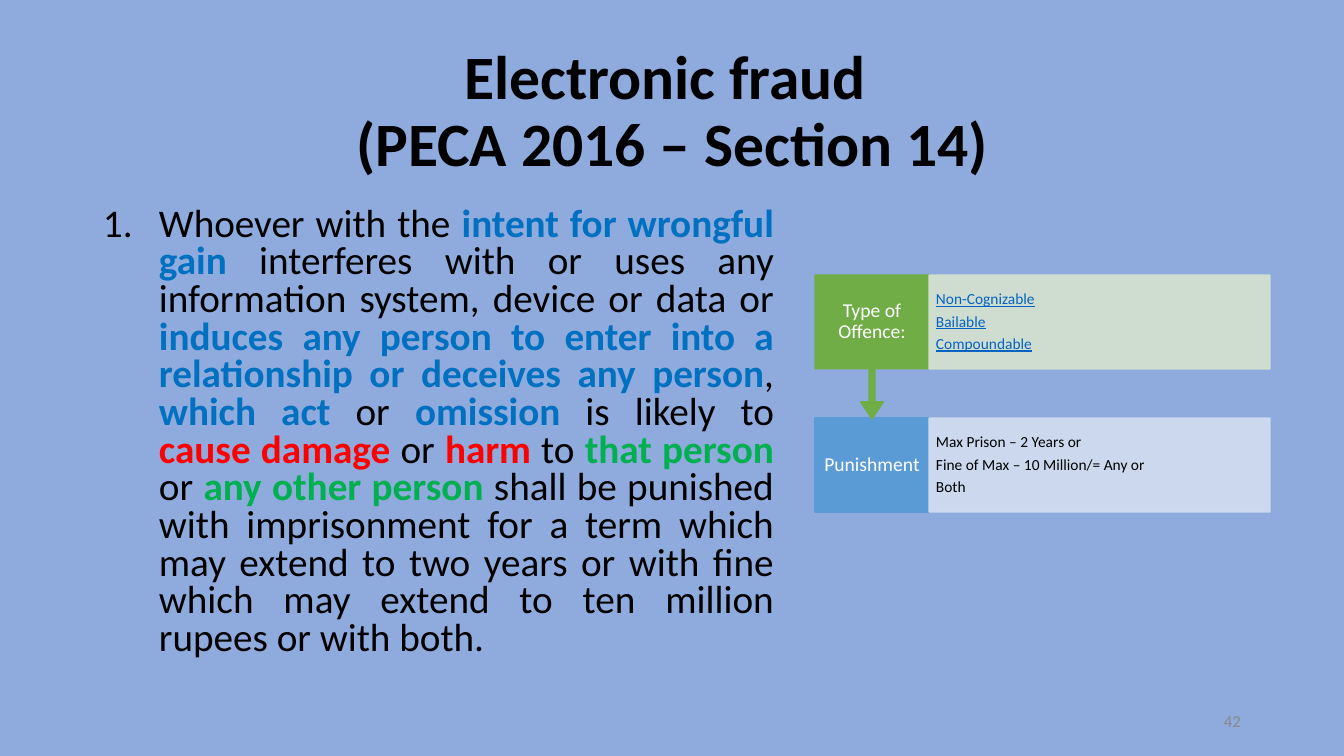
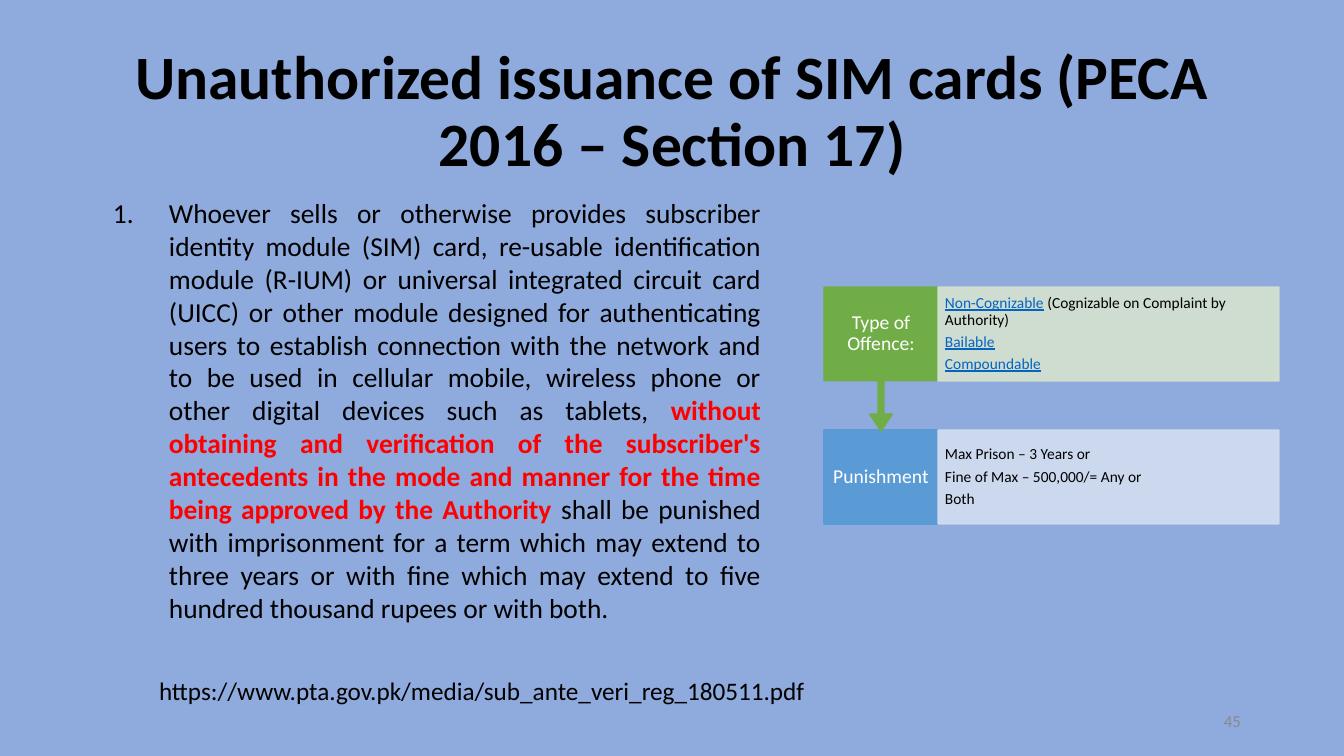
from lxml import etree
from pptx import Presentation
from pptx.dml.color import RGBColor
from pptx.enum.shapes import MSO_SHAPE
from pptx.enum.text import MSO_ANCHOR, PP_ALIGN
from pptx.oxml.ns import qn
from pptx.util import Emu, Pt

RECTANGLE = MSO_SHAPE.RECTANGLE
CALLOUT = MSO_SHAPE.UP_ARROW_CALLOUT
TOP, MIDDLE = MSO_ANCHOR.TOP, MSO_ANCHOR.MIDDLE
LEFT, CENTER, RIGHT, JUSTIFY = PP_ALIGN.LEFT, PP_ALIGN.CENTER, PP_ALIGN.RIGHT, PP_ALIGN.JUSTIFY

FONT = "Calibri"
BACKGROUND = "8FAADC"
BLACK, WHITE, GRAY = "000000", "FFFFFF", "898989"
GREEN, BLUE = "70AD47", "5B9BD5"
PALE_GREEN, PALE_BLUE = "D5E3CF", "D2DEEF"
STYLES = {
    "blue": ("0070C0", True, False),
    "red": ("FF0000", True, False),
    "green": ("00B050", True, False),
    "link": ("0563C1", False, True),
}
LABEL_WIDTH, DETAIL_WIDTH, ROW_HEIGHT, ROW_STEP = 114, 341, 94, 143
NUMBER_INDENT = 56


def px(length):
    return Emu(round(length * 914400 / 100.8))


def write(shape, paragraphs, size, color=BLACK, bold=False, align=LEFT, anchor=TOP,
          spacing=1.0, after=0, margins=(10, 5), numbered=False):
    frame = shape.text_frame
    frame.word_wrap = True
    frame.vertical_anchor = anchor
    frame.margin_left = frame.margin_right = px(margins[0])
    frame.margin_top = frame.margin_bottom = px(margins[1])
    for index, spans in enumerate(paragraphs):
        para = frame.paragraphs[0] if index == 0 else frame.add_paragraph()
        para.alignment = align
        para.line_spacing = spacing
        para.space_after = Pt(after)
        if numbered:
            properties = para._p.get_or_add_pPr()
            properties.set("marL", str(px(NUMBER_INDENT)))
            properties.set("indent", str(px(-NUMBER_INDENT)))
            etree.SubElement(properties, qn("a:buAutoNum"), type="arabicPeriod")
        para.font.name = FONT
        para.font.size = Pt(size)
        para.font.bold = bold
        para.font.color.rgb = RGBColor.from_string(color)
        for text, style in spans:
            if text == "\n":
                para.add_line_break()
                continue
            span = para.add_run()
            span.text = text
            if style:
                span_color, span.font.bold, span.font.underline = STYLES[style]
                span.font.color.rgb = RGBColor.from_string(span_color)


SECTIONS = [
    {
        "number": "42",
        "title": [("Electronic fraud ", ""), ("\n", ""), ("(PECA 2016 – Section 14)", "")],
        "body_box": (93, 202, 691, 480),
        "body_size": 28,
        "body_spacing": 0.8,
        "body": [
            ("Whoever with the ", ""),
            ("intent for wrongful gain ", "blue"),
            ("interferes with or uses any information system, device or data or ", ""),
            ("induces any person to enter into a relationship or deceives any person", "blue"),
            (", ", ""),
            ("which act ", "blue"),
            ("or ", ""),
            ("omission", "blue"),
            (" is likely to ", ""),
            ("cause damage ", "red"),
            ("or ", ""),
            ("harm", "red"),
            (" to ", ""),
            ("that person", "green"),
            (" or ", ""),
            ("any other person", "green"),
            (" shall be punished with imprisonment for a term which may extend to two years "
             "or with fine which may extend to ten million rupees or with both.", ""),
        ],
        "source": "",
        "panel": (815, 275),
        "offence": [[("Non-Cognizable", "link")], [("Bailable", "link")],
                    [("Compoundable", "link")]],
        "punishment": [[("Max Prison – 2 Years or", "")],
                       [("Fine of Max – 10 Million/= Any or", "")], [("Both", "")]],
    },
    {
        "number": "45",
        "title": [("Unauthorized issuance of SIM cards (PECA 2016 – Section 17)", "")],
        "body_box": (103, 191, 668, 480),
        "body_size": 19.6,
        "body_spacing": 1.0,
        "body": [
            ("Whoever sells or otherwise provides subscriber identity module (SIM) card, "
             "re-usable identification module (R-IUM) or universal integrated circuit card "
             "(UICC) or other module designed for authenticating users to establish connection "
             "with the network and to be used in cellular mobile, wireless phone or other "
             "digital devices such as tablets, ", ""),
            ("without obtaining and verification of the subscriber's antecedents in the mode "
             "and manner for the time being approved by the Authority ", "red"),
            ("shall be punished with imprisonment for a term which may extend to three years "
             "or with fine which may extend to five hundred thousand rupees or with both.", ""),
        ],
        "source": "https://www.pta.gov.pk/media/sub_ante_veri_reg_180511.pdf",
        "panel": (824, 287),
        "offence": [[("Non-Cognizable", "link"),
                     (" (Cognizable on Complaint by Authority)", "")],
                    [("Bailable", "link")], [("Compoundable", "link")]],
        "punishment": [[("Max Prison – 3 Years or", "")],
                       [("Fine of Max – 500,000/= Any or", "")], [("Both", "")]],
    },
]

deck = Presentation()
deck.slide_width, deck.slide_height = px(1344), px(756)

for section in SECTIONS:
    page = deck.slides.add_slide(deck.slide_layouts[6])
    page.background.fill.solid()
    page.background.fill.fore_color.rgb = RGBColor.from_string(BACKGROUND)

    title = page.shapes.add_textbox(px(93), px(40), px(1159), px(146))
    write(title, [section["title"]], 44, bold=True, align=CENTER, anchor=MIDDLE, spacing=0.9)

    body = page.shapes.add_textbox(*map(px, section["body_box"]))
    write(body, [section["body"]], section["body_size"], align=JUSTIFY,
          spacing=section["body_spacing"], numbered=True)

    if section["source"]:
        source = page.shapes.add_textbox(px(149), px(670), px(1182), px(40))
        write(source, [[(section["source"], "")]], 18)

    left, top = section["panel"]
    middle, lower = left + LABEL_WIDTH, top + ROW_STEP
    for kind, x, y, width, height, color, opacity in [
        (RECTANGLE, left, lower, LABEL_WIDTH, ROW_HEIGHT, BLUE, 100),
        (RECTANGLE, middle, lower, DETAIL_WIDTH, ROW_HEIGHT, PALE_BLUE, 90),
        (CALLOUT, left, top, LABEL_WIDTH, ROW_STEP + 1, GREEN, 100),
        (RECTANGLE, middle, top, DETAIL_WIDTH, ROW_HEIGHT, PALE_GREEN, 90),
    ]:
        box = page.shapes.add_shape(kind, px(x), px(y), px(width), px(height))
        box.shadow.inherit = False
        box.line.width = Pt(1)
        for paint in (box.fill, box.line.fill):
            paint.solid()
            paint.fore_color.rgb = RGBColor.from_string(color)
        if opacity < 100:
            for tint in box._element.spPr.iter(qn("a:srgbClr")):
                etree.SubElement(tint, qn("a:alpha"), val=str(opacity * 1000))
        if kind == CALLOUT:
            box.rotation = 180
            for index, ratio in enumerate((0.05, 0.1, 0.15, 0.65)):
                box.adjustments[index] = ratio

    for y, label, details in [(top, "Type of Offence:", section["offence"]),
                              (lower, "Punishment", section["punishment"])]:
        label_box = page.shapes.add_textbox(px(left), px(y), px(LABEL_WIDTH), px(ROW_HEIGHT))
        write(label_box, [[(label, "")]], 14, WHITE, align=CENTER, anchor=MIDDLE,
              spacing=0.9, margins=(8, 11))
        detail_box = page.shapes.add_textbox(px(middle), px(y), px(DETAIL_WIDTH), px(ROW_HEIGHT))
        write(detail_box, details, 11, anchor=MIDDLE, spacing=0.9, after=4, margins=(7, 5))

    number = page.shapes.add_textbox(px(949), px(701), px(302), px(40))
    write(number, [[(section["number"], "")]], 12, GRAY, align=RIGHT, anchor=MIDDLE)

deck.save("out.pptx")
